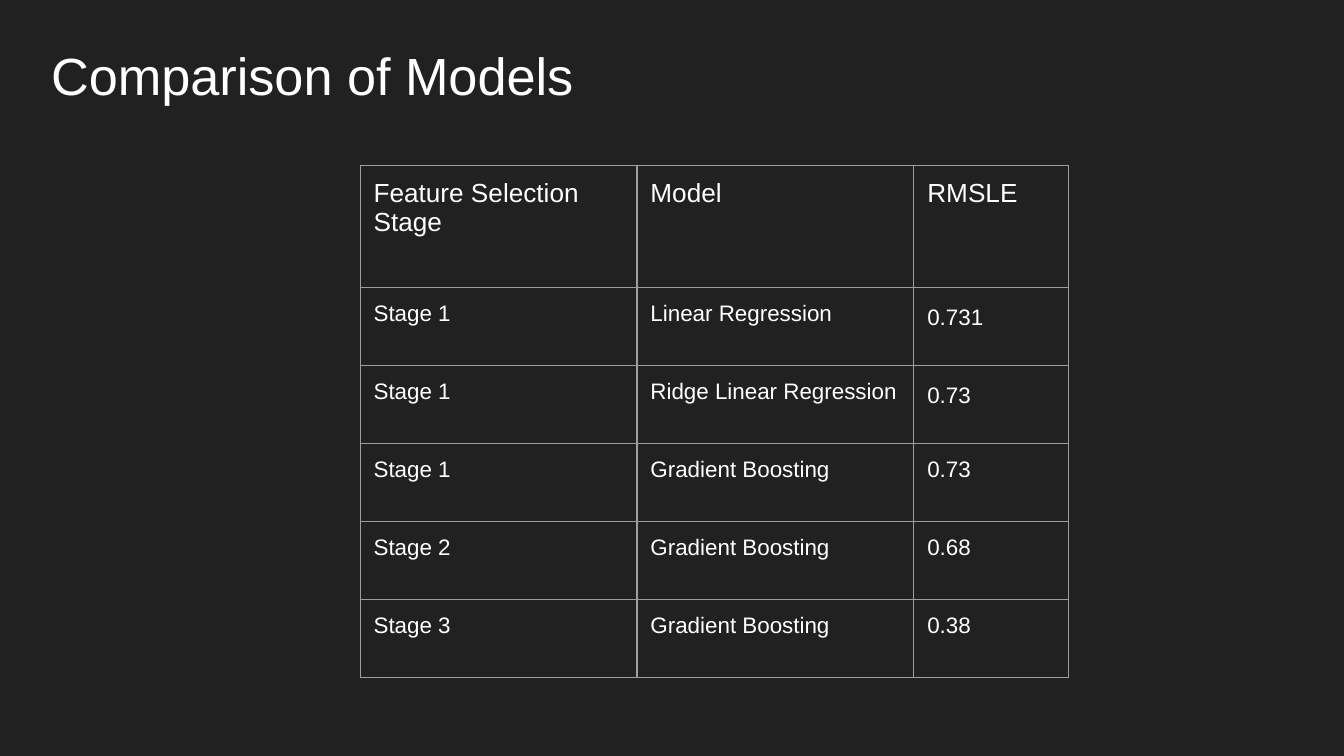
from lxml import etree
from pptx import Presentation
from pptx import util as u
from pptx.dml.color import RGBColor
from pptx.enum import text
from pptx.oxml.ns import qn


def rgb(value):
    return RGBColor.from_string(value)


class Deck:
    FONT = "Arial"
    BACKGROUND = "212121"
    INK = "FFFFFF"
    BORDER = "9E9E9E"
    INSET = u.Inches(0.1)

    def __init__(self, width):
        self.prs = Presentation()
        # Widescreen, 16:9
        self.prs.slide_width = u.Inches(width)
        self.prs.slide_height = u.Inches(width * 9 / 16)
        self.s = self.prs.slides.add_slide(self.prs.slide_layouts[5])
        fill = self.s.background.fill
        fill.solid()
        fill.fore_color.rgb = rgb(self.BACKGROUND)

    def format_text(self, p, size):
        p.alignment = text.PP_ALIGN.LEFT
        p.font.name = self.FONT
        p.font.size = u.Pt(size)
        p.font.color.rgb = rgb(self.INK)

    def set_margins(self, box):
        box.margin_left = box.margin_right = self.INSET
        box.margin_top = box.margin_bottom = self.INSET

    def title(self, words, left, top, width, height):
        sp = self.s.shapes.title
        sp.left, sp.top = u.Inches(left), u.Inches(top)
        sp.width, sp.height = u.Inches(width), u.Inches(height)
        tf = sp.text_frame
        tf.text = words
        tf.word_wrap = True
        tf.auto_size = text.MSO_AUTO_SIZE.NONE
        tf.vertical_anchor = text.MSO_ANCHOR.TOP
        self.set_margins(tf)
        self.format_text(tf.paragraphs[0], 28)

    def cell_borders(self, cell):
        # Borders must come before the fill in the cell properties
        tc_pr = cell._tc.get_or_add_tcPr()
        for i, side in enumerate(("lnL", "lnR", "lnT", "lnB")):
            ln = etree.Element(qn(f"a:{side}"), w=str(u.Pt(0.75)))
            solid = etree.SubElement(ln, qn("a:solidFill"))
            etree.SubElement(solid, qn("a:srgbClr"), val=self.BORDER)
            tc_pr.insert(i, ln)

    def table(self, rows, left, top, widths, heights, spaced):
        frame = self.s.shapes.add_table(
            len(rows), len(widths), u.Inches(left), u.Inches(top),
            u.Inches(sum(widths)), u.Inches(sum(heights)))
        table = frame.table
        table.first_row = table.horz_banding = False
        for column, width in zip(table.columns, widths):
            column.width = u.Inches(width)
        for i, (row, height) in enumerate(zip(rows, heights)):
            table.rows[i].height = u.Inches(height)
            for j, words in enumerate(row):
                cell = table.cell(i, j)
                cell.text = words
                cell.fill.background()
                self.set_margins(cell)
                self.cell_borders(cell)
                p = cell.text_frame.paragraphs[0]
                self.format_text(p, 14 if i == 0 else 12)
                if (i, j) in spaced:
                    p.line_spacing = 1.15


def main():
    deck = Deck(10)

    # Heading
    deck.title("Comparison of Models", 0.28, 0.22, 9.32, 0.63)

    # Model scores
    results = [
        ("Feature Selection Stage", "Model", "RMSLE"),
        ("Stage 1", "Linear Regression", "0.731"),
        ("Stage 1", "Ridge Linear Regression", "0.73"),
        ("Stage 1", "Gradient Boosting", "0.73"),
        ("Stage 2", "Gradient Boosting", "0.68"),
        ("Stage 3", "Gradient Boosting", "0.38"),
    ]
    heights = [0.91] + [0.58] * (len(results) - 1)
    deck.table(results, 2.68, 1.23, [2.06, 2.06, 1.15], heights,
               spaced={(1, 2), (2, 2)})

    deck.prs.save("out.pptx")


if __name__ == "__main__":
    main()
